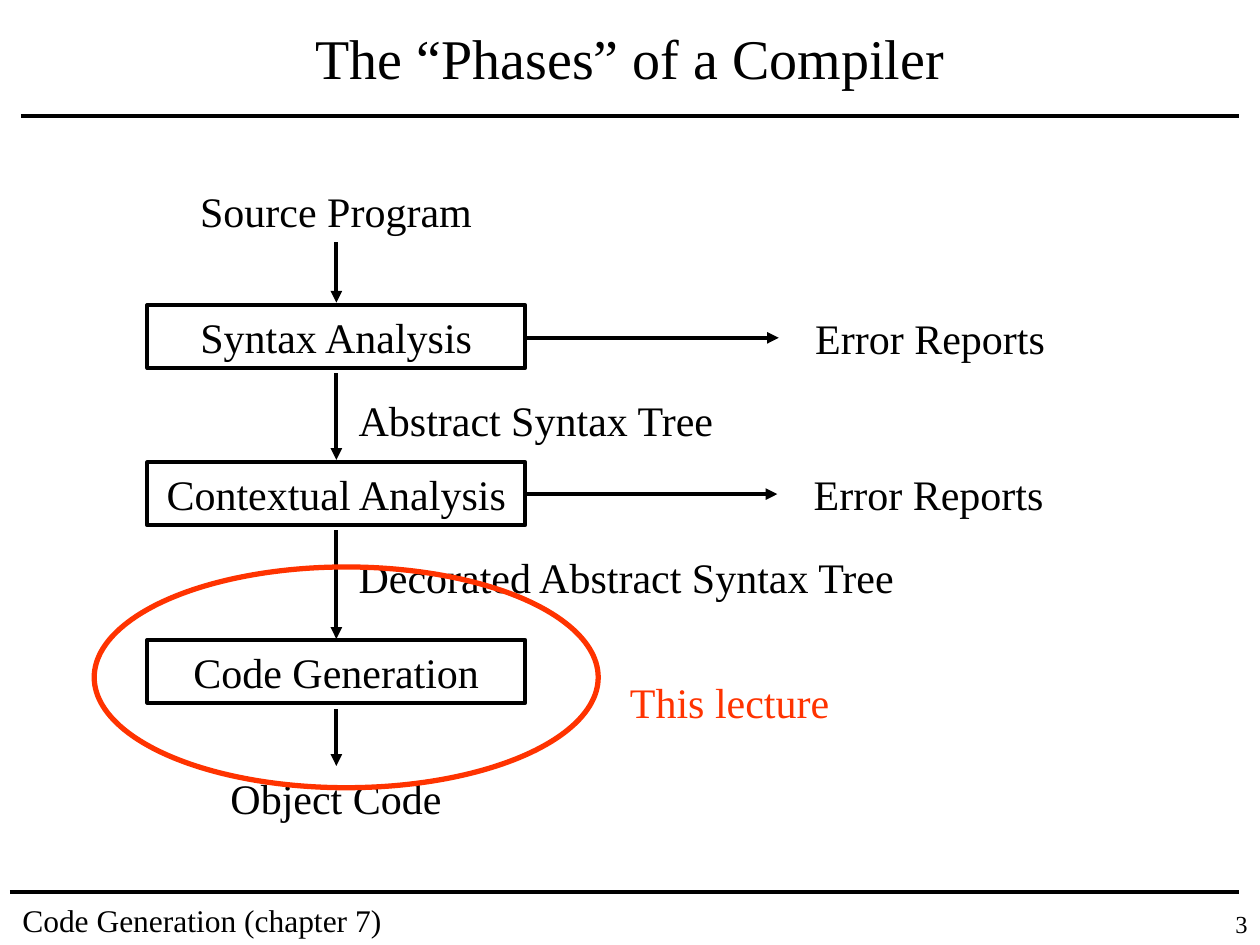
"""Builds the slide on the phases of a compiler."""
import dataclasses

import lxml.etree
import pptx
import pptx.dml.color
import pptx.enum.shapes
import pptx.enum.text
import pptx.oxml.ns
import pptx.util

Cm = pptx.util.Cm
Pt = pptx.util.Pt
Align = pptx.enum.text.PP_ALIGN
Anchor = pptx.enum.text.MSO_ANCHOR
Preset = pptx.enum.shapes.MSO_SHAPE


@dataclasses.dataclass(frozen=True)
class Theme:
    font: str = "Times New Roman"
    ink: str = "000000"
    accent: str = "FF3300"
    title: float = 32
    body: float = 24
    footer: float = 18
    number: float = 14
    line: float = 2.25
    ring: float = 3


class CompilerSlide:
    def __init__(self, slide, theme):
        self.shapes = slide.shapes
        self.theme = theme

    def set_wording(self, shape, wording, size, align, color, anchor=Anchor.TOP, wrap=True):
        frame = shape.text_frame
        frame.text = wording
        frame.word_wrap = wrap
        frame.vertical_anchor = anchor
        paragraph = frame.paragraphs[0]
        paragraph.alignment = align
        font = paragraph.runs[0].font
        font.name = self.theme.font
        font.size = Pt(size)
        font.color.rgb = pptx.dml.color.RGBColor.from_string(color)

    def label(self, wording, left, top, width, height=1.27, size=None,
              align=Align.LEFT, color=None, **layout):
        box = self.shapes.add_textbox(Cm(left), Cm(top), Cm(width), Cm(height))
        self.set_wording(box, wording, size or self.theme.body, align,
                         color or self.theme.ink, **layout)

    def outline(self, preset, left, top, width, height, color, weight):
        shape = self.shapes.add_shape(preset, Cm(left), Cm(top), Cm(width), Cm(height))
        shape.shadow.inherit = False
        shape.fill.background()
        shape.line.color.rgb = pptx.dml.color.RGBColor.from_string(color)
        shape.line.width = Pt(weight)
        return shape

    def phase(self, wording, left, top, width, height):
        box = self.outline(Preset.RECTANGLE, left, top, width, height,
                           self.theme.ink, self.theme.line)
        self.set_wording(box, wording, self.theme.body, Align.CENTER, self.theme.ink)

    def ring(self, left, top, width, height):
        self.outline(Preset.OVAL, left, top, width, height,
                     self.theme.accent, self.theme.ring)

    def rule(self, x1, y1, x2, y2, arrow=False):
        rule = self.shapes.add_connector(
            pptx.enum.shapes.MSO_CONNECTOR.STRAIGHT, Cm(x1), Cm(y1), Cm(x2), Cm(y2))
        rule.line.color.rgb = pptx.dml.color.RGBColor.from_string(self.theme.ink)
        rule.line.width = Pt(self.theme.line)
        properties = rule._element.spPr
        if arrow:
            stroke = properties.find(pptx.oxml.ns.qn("a:ln"))
            lxml.etree.SubElement(stroke, pptx.oxml.ns.qn("a:tailEnd"), type="triangle")
        lxml.etree.SubElement(properties, pptx.oxml.ns.qn("a:effectLst"))


def main():
    deck = pptx.Presentation()
    deck.slide_width, deck.slide_height = Cm(25.4), Cm(19.05)
    theme = Theme()
    page = CompilerSlide(deck.slides.add_slide(deck.slide_layouts[6]), theme)

    page.rule(0.42, 2.34, 24.97, 2.34)
    page.label("Code Generation (chapter 7)", 0.2, 18.03, 9.73, 1.02, theme.footer)
    page.rule(0.2, 17.98, 24.97, 17.98)
    page.label("The “Phases” of a Compiler", 0.64, 0.2, 24.13, 1.9, theme.title,
               Align.CENTER, anchor=Anchor.MIDDLE)

    phase_left, phase_width, phase_height = 2.97, 7.62, 1.27
    flow_x = phase_left + phase_width / 2
    for wording, top in (("Syntax Analysis", 6.15), ("Contextual Analysis", 9.32),
                         ("Code Generation", 12.9)):
        page.phase(wording, phase_left, top, phase_width, phase_height)

    for wording, top in (("Source Program", 3.61), ("Object Code", 15.44)):
        page.label(wording, 3.18, top, 7.19, align=Align.CENTER)
    for wording, top, width in (("Abstract Syntax Tree", 7.82, 8.05),
                                ("Decorated Abstract Syntax Tree", 11, 11.43)):
        page.label(wording, 6.98, top, width)
    for start, end in ((4.88, 6.1), (7.52, 9.27), (10.69, 12.88), (14.3, 15.44)):
        page.rule(flow_x, start, flow_x, end, arrow=True)

    report_gap = 5.08
    for left, middle, top in ((10.62, 6.81, 6.17), (10.59, 9.96, 9.32)):
        page.rule(left, middle, left + report_gap, middle, arrow=True)
        page.label("Error Reports", left + report_gap, top, 6.1, align=Align.CENTER)

    page.ring(1.9, 11.43, 10.16, 4.45)
    page.label("This lecture", 12.45, 13.51, 4.52, color=theme.accent, wrap=False)
    page.label("3", 23.5, 18.21, 1.9, 0.84, theme.number, Align.RIGHT)
    deck.save("out.pptx")


if __name__ == "__main__":
    main()
